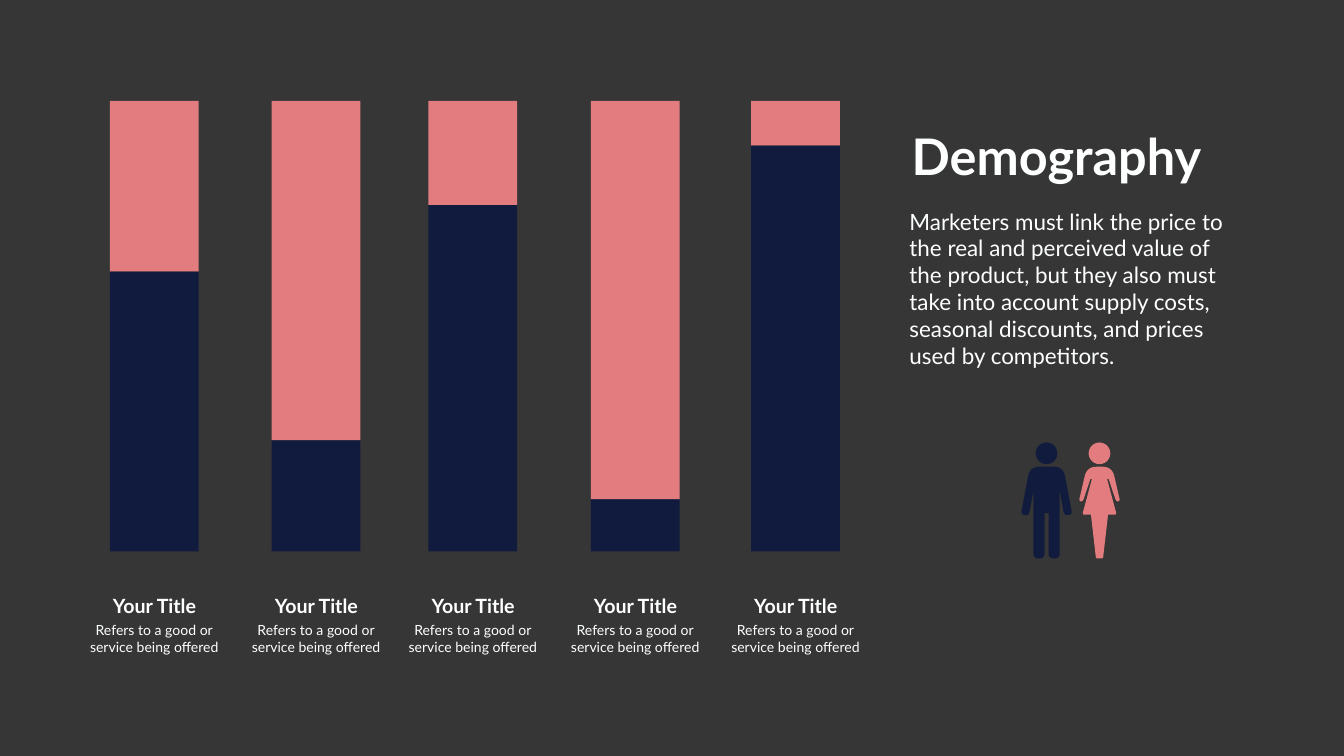
from math import dist

from lxml.etree import SubElement
from pptx import Presentation
from pptx.dml.color import RGBColor
from pptx.enum.shapes import MSO_SHAPE
from pptx.enum.text import MSO_ANCHOR, MSO_AUTO_SIZE, PP_ALIGN
from pptx.oxml.ns import qn
from pptx.util import Inches, Pt

COLORS = {"background": "363636", "male": "111B3E", "female": "E27C7F", "text": "FEFFFF"}
BAR_TOP, BAR_BOTTOM, BAR_WIDTH = 2, 10.94, 1.76
BARS = [(2.18, 5.39), (5.39, 8.74), (8.5, 4.07), (11.72, 9.91), (14.9, 2.89)]
HEAD_TOP, HEAD_SIZE, BODY_TOP = 8.78, 0.43, 9.26
MAN_HALF = [
    (0.33, 0, 0.19), (0.51, 0.95, 0.08), (0.35, 0.97, 0.08), (0.26, 0.47, 0),
    (0.26, 1.82, 0.1), (0.04, 1.82, 0.1), (0.04, 0.92, 0),
]
WOMAN_HALF = [
    (0.25, 0, 0.19), (0.41, 0.69, 0.06), (0.33, 0.69, 0.05), (0.18, 0.24, 0),
    (0.15, 0.24, 0), (0.34, 0.95, 0.04), (0.17, 0.95, 0), (0.07, 1.82, 0.03),
]
DESCRIPTION = (
    "Marketers must link the price to the real and perceived value of the product, "
    "but they also must take into account supply costs, seasonal discounts, "
    "and prices used by competitors."
)


def rgb(name):
    """Return a palette colour."""
    return RGBColor.from_string(COLORS[name])


def paint(shape, color):
    """Give a shape a flat fill with no line or shadow."""
    shape.fill.solid()
    shape.fill.fore_color.rgb = rgb(color)
    shape.line.fill.background()
    shape.shadow.inherit = False


def write(holder, *lines, at, size, bold=False, align=PP_ALIGN.CENTER, wrap=True):
    """Place a text holder and write its formatted paragraphs."""
    holder.left, holder.top, holder.width, holder.height = map(Inches, at)
    frame = holder.text_frame
    frame.word_wrap = wrap
    frame.auto_size = MSO_AUTO_SIZE.NONE
    frame.vertical_anchor = MSO_ANCHOR.TOP
    frame.text = "\n".join(lines)
    for paragraph in frame.paragraphs:
        properties = paragraph._p.get_or_add_pPr()
        properties.set("marL", "0")
        properties.set("indent", "0")
        SubElement(properties, qn("a:buNone"))
        paragraph.alignment = align
        paragraph.space_before = Pt(0)
        paragraph.line_spacing = 1.0
        font = paragraph.runs[0].font
        font.name, font.size, font.bold = "Lato", Pt(size), bold
        font.color.rgb = rgb("text")


def add_block(slide, kind, at, color):
    """Add a flat preset shape."""
    paint(slide.shapes.add_shape(kind, *map(Inches, at)), color)


def add_bar(slide, left, split):
    """Add a bar split into a female and a male share, with its caption."""
    for top, bottom, color in ((BAR_TOP, split, "female"), (split, BAR_BOTTOM, "male")):
        add_block(slide, MSO_SHAPE.RECTANGLE, (left, top, BAR_WIDTH, bottom - top), color)
    center = left + BAR_WIDTH / 2
    heading, caption = (slide.shapes.add_textbox(0, 0, 0, 0) for _ in range(2))
    write(heading, "Your Title", at=(center - 0.96, 11.73, 1.93, 0.57), size=28, bold=True)
    write(caption, "Refers to a good or", "service being offered",
          at=(center - 1.44, 12.29, 2.88, 0.77), size=20)


def round_corners(corners, steps=6):
    """Return outline points with each (x, y, radius) corner rounded."""
    points = []
    for index, (x, y, radius) in enumerate(corners):
        if not radius:
            points.append((x, y))
            continue
        neighbours = (corners[index - 1], corners[(index + 1) % len(corners)])
        (ax, ay), (bx, by) = (
            (x + (nx - x) * radius / dist((x, y), (nx, ny)),
             y + (ny - y) * radius / dist((x, y), (nx, ny)))
            for nx, ny, _ in neighbours
        )
        for step in range(steps + 1):
            t = step / steps
            u = 1 - t
            points.append((u * u * ax + 2 * u * t * x + t * t * bx,
                           u * u * ay + 2 * u * t * y + t * t * by))
    return points


def add_person(slide, axis, half, color):
    """Add a symmetric figure with a round head."""
    add_block(slide, MSO_SHAPE.OVAL,
              (axis - HEAD_SIZE / 2, HEAD_TOP, HEAD_SIZE, HEAD_SIZE), color)
    mirrored = [(-x, y, radius) for x, y, radius in reversed(half)]
    outline = [(Inches(axis + x), Inches(BODY_TOP + y))
               for x, y in round_corners(half + mirrored)]
    builder = slide.shapes.build_freeform(*outline[0])
    builder.add_line_segments(outline[1:], close=True)
    paint(builder.convert_to_shape(), color)


def main():
    """Build the demography slide."""
    deck = Presentation()
    deck.slide_width, deck.slide_height = Inches(26.66), Inches(15)
    slide = deck.slides.add_slide(deck.slide_layouts[1])
    slide.background.fill.solid()
    slide.background.fill.fore_color.rgb = rgb("background")
    write(slide.shapes.title, "Demography", at=(17.92, 2.44, 6.07, 1.31),
          size=72, bold=True, wrap=False)
    write(slide.placeholders[1], DESCRIPTION, at=(17.94, 4.07, 6.67, 3.33),
          size=32, align=PP_ALIGN.LEFT)
    for left, split in BARS:
        add_bar(slide, left, split)
    add_person(slide, 20.76, MAN_HALF, "male")
    add_person(slide, 21.81, WOMAN_HALF, "female")
    deck.save("out.pptx")


if __name__ == "__main__":
    main()
